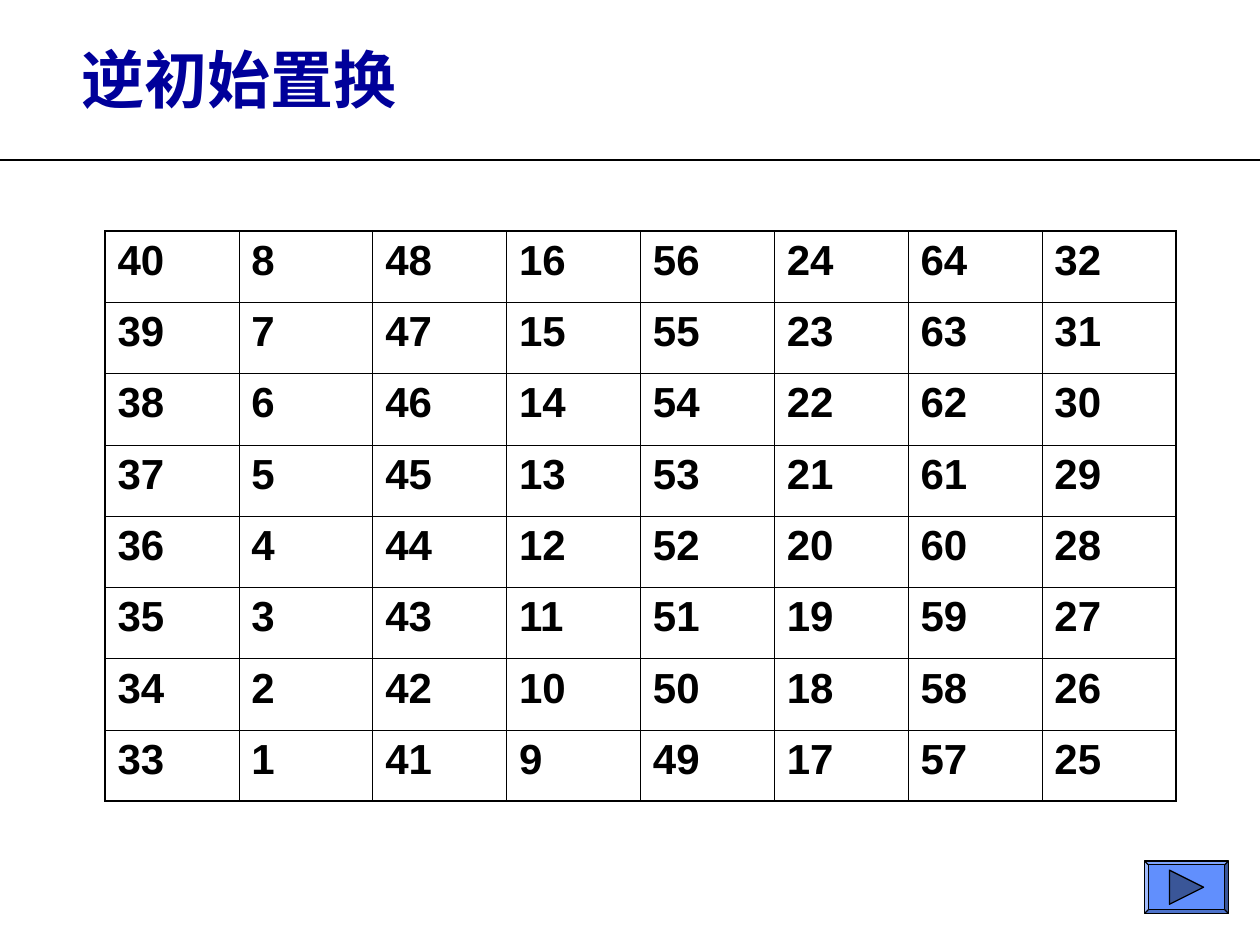
import lxml.etree
import pptx
import pptx.dml.color
import pptx.enum.shapes
import pptx.enum.text
import pptx.oxml
import pptx.oxml.ns
import pptx.util

Pt = pptx.util.Pt
SHAPES = pptx.enum.shapes.MSO_SHAPE
COLORS = {"ink": "000000", "title": "00009A", "button": "618FFD", "arrow": "3A5698"}
TITLE_FONT = {"name": "Karla", "size": Pt(36), "bold": True}
CELL_FONT = {"name": "Arial", "size": Pt(24), "bold": True}
FIRST_ROW = [40, 8, 48, 16, 56, 24, 64, 32]
ROW_COUNT = 8


def color(name):
    """Return the named colour."""
    return pptx.dml.color.RGBColor.from_string(COLORS[name])


def apply_format(target, values):
    """Set each attribute of the target from a dict."""
    for name, value in values.items():
        setattr(target, name, value)


def write_text(paragraph, text, font, color_name):
    """Write one formatted run into a paragraph."""
    run = paragraph.add_run()
    run.text = text
    apply_format(run.font, font)
    run.font.color.rgb = color(color_name)
    return run


def add_title(slide, left, top, width, height, text):
    """Add the title and the full-width rule below it."""
    shape = slide.shapes.add_textbox(Pt(left), Pt(top), Pt(width), Pt(height))
    apply_format(shape.text_frame, {
        "word_wrap": True,
        "vertical_anchor": pptx.enum.text.MSO_ANCHOR.MIDDLE,
        "margin_left": Pt(18), "margin_right": Pt(18),
        "margin_top": Pt(7.2), "margin_bottom": Pt(7.2),
    })
    run = write_text(shape.text_frame.paragraphs[0], text, TITLE_FONT, "title")
    east_asian = lxml.etree.SubElement(run.font._element, pptx.oxml.ns.qn("a:ea"))
    east_asian.set("typeface", TITLE_FONT["name"])

    rule_top = Pt(top + height + 1.4)
    rule = slide.shapes.add_connector(
        pptx.enum.shapes.MSO_CONNECTOR.STRAIGHT, 0, rule_top, Pt(left + width), rule_top)
    rule.line.width = Pt(1.5)
    rule.line.color.rgb = color("ink")
    lxml.etree.SubElement(rule._element.spPr, pptx.oxml.ns.qn("a:effectLst"))


def set_borders(cell, widths):
    """Draw the cell borders, given as widths by side in schema order."""
    properties = cell._tc.get_or_add_tcPr()
    for side, width in widths.items():
        properties.append(pptx.oxml.parse_xml(
            f'<a:ln{side} {pptx.oxml.ns.nsdecls("a")} w="{Pt(width)}"><a:solidFill>'
            f'<a:srgbClr val="{COLORS["ink"]}"/></a:solidFill></a:ln{side}>'))


def add_permutation_table(slide, left, top, width, height):
    """Add the table, in which each row is one less than the row above."""
    column_count = len(FIRST_ROW)
    table = slide.shapes.add_table(
        ROW_COUNT, column_count, Pt(left), Pt(top), Pt(width), Pt(height)).table
    apply_format(table, {"first_row": False, "horz_banding": False})
    for row in range(ROW_COUNT):
        for column, start in enumerate(FIRST_ROW):
            cell = table.cell(row, column)
            write_text(cell.text_frame.paragraphs[0], str(start - row), CELL_FONT, "ink")
            outer = {"L": column == 0, "R": column == column_count - 1,
                     "T": row == 0, "B": row == ROW_COUNT - 1}
            set_borders(cell, {side: 1.08 if edge else 0.45 for side, edge in outer.items()})
            cell.fill.background()


def add_button_part(slide, kind, left, top, width, height, fill):
    """Add one filled and outlined part of the button."""
    shape = slide.shapes.add_shape(kind, Pt(left), Pt(top), Pt(width), Pt(height))
    shape.shadow.inherit = False
    shape.fill.solid()
    shape.fill.fore_color.rgb = color(fill)
    shape.line.color.rgb = color("ink")
    shape.line.width = Pt(0.75)
    return shape


def add_next_button(slide, left, top, width, height):
    """Add a bevelled button with a centred arrow that points right."""
    bevel = add_button_part(slide, SHAPES.BEVEL, left, top, width, height, "button")
    bevel.adjustments[0] = 0.07
    size = height * 0.65
    arrow = add_button_part(
        slide, SHAPES.ISOSCELES_TRIANGLE, left + (width - size) / 2,
        top + (height - size) / 2, size, size, "arrow")
    arrow.rotation = 90


def main():
    """Build the slide and save it."""
    presentation = pptx.Presentation()
    presentation.slide_width, presentation.slide_height = Pt(720), Pt(540)
    slide = presentation.slides.add_slide(presentation.slide_layouts[6])
    add_title(slide, 28.8, 0, 691.2, 90, "逆初始置换")
    add_permutation_table(slide, 60, 132, 612, 326)
    add_next_button(slide, 654, 492, 48, 30)
    presentation.save("out.pptx")


if __name__ == "__main__":
    main()
